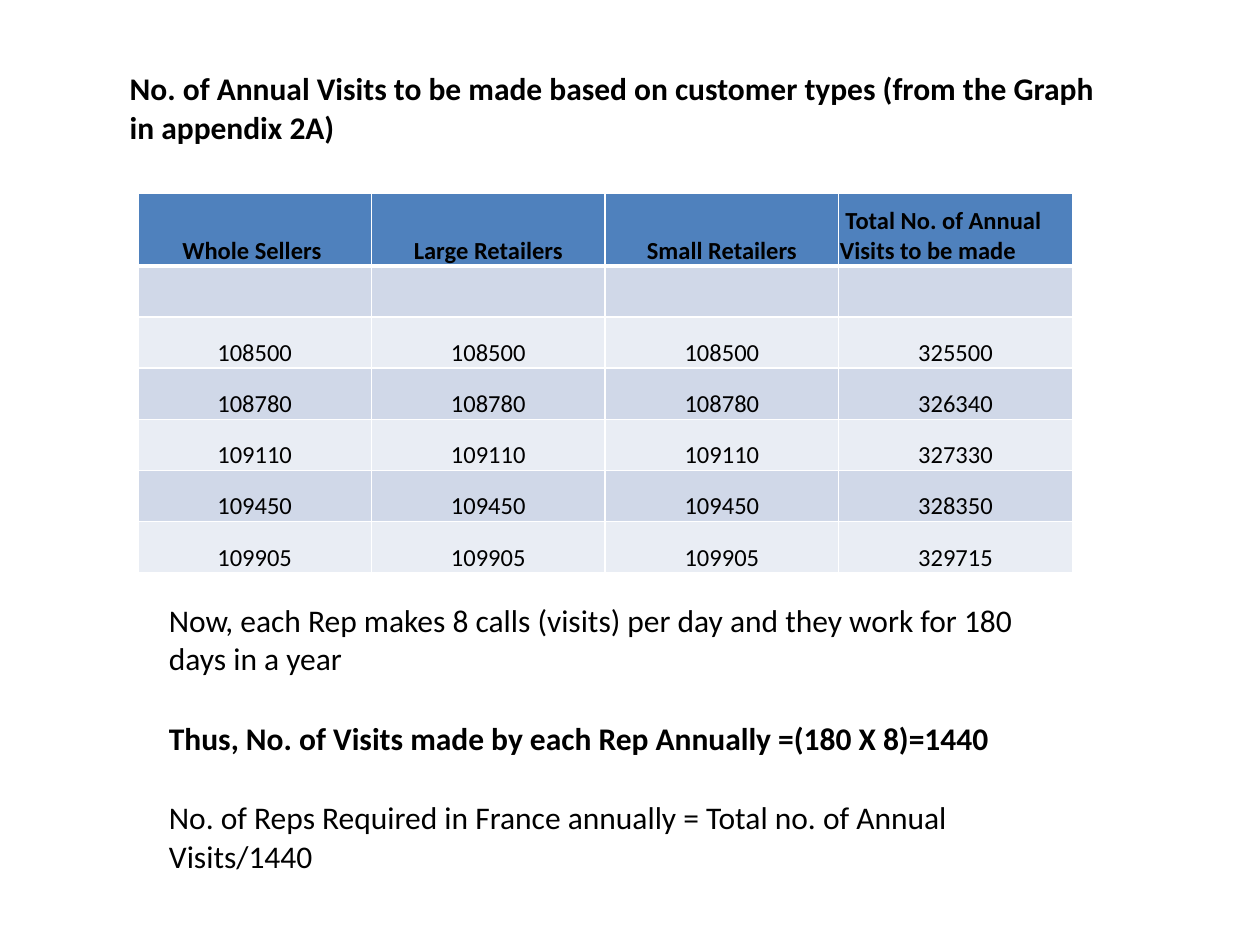
from dataclasses import dataclass

from lxml import etree
from pptx import Presentation
from pptx.dml.color import RGBColor
from pptx.enum.text import MSO_ANCHOR, PP_ALIGN
from pptx.oxml.ns import qn
from pptx.util import Pt

BOTTOM = MSO_ANCHOR.BOTTOM
LEFT, CENTER = PP_ALIGN.LEFT, PP_ALIGN.CENTER
BLACK, WHITE = "000000", "FFFFFF"
HEADER_FILL, BAND_FILLS = "4F81BD", ("D0D8E8", "E9EDF4")
SIDES = ("a:lnL", "a:lnR", "a:lnT", "a:lnB")


@dataclass
class CellStyle:
    size: float
    bold: bool = False
    align: PP_ALIGN = LEFT
    fill: str | None = None
    rule: float = 0
    bottom_rule: float = 0


@dataclass
class Row:
    texts: list[str]
    height: float
    styles: list[CellStyle]


def rgb(color: str) -> RGBColor:
    return RGBColor.from_string(color)


def add_border(cell, side: str, width: float) -> None:
    ln = etree.SubElement(cell._tc.get_or_add_tcPr(), qn(side), w=str(Pt(width)))
    if width:
        fill = etree.SubElement(ln, qn("a:solidFill"))
        etree.SubElement(fill, qn("a:srgbClr"), val=WHITE)
    else:
        etree.SubElement(ln, qn("a:noFill"))


def format_cell(cell, text: str, style: CellStyle) -> None:
    for side in SIDES:
        add_border(cell, side, style.bottom_rule or style.rule if side == "a:lnB" else style.rule)
    if style.fill:
        cell.fill.solid()
        cell.fill.fore_color.rgb = rgb(style.fill)
    else:
        cell.fill.background()
    cell.margin_left = cell.margin_right = cell.margin_top = Pt(0.72)
    cell.margin_bottom = 0
    cell.vertical_anchor = BOTTOM
    p = cell.text_frame.paragraphs[0]
    if text:
        p.add_run().text = text
    p.alignment = style.align
    p.font.name = "Calibri"
    p.font.size = Pt(style.size)
    p.font.bold = style.bold
    p.font.color.rgb = rgb(BLACK)


def add_table(s, left: float, top: float, width: float, rows: list[Row]) -> None:
    n_cols = len(rows[0].texts)
    height = sum(row.height for row in rows)
    table = s.shapes.add_table(len(rows), n_cols, Pt(left), Pt(top), Pt(width), Pt(height)).table
    table.first_row = table.horz_banding = False
    for col in table.columns:
        col.width = Pt(width / n_cols)
    for i, row in enumerate(rows):
        table.rows[i].height = Pt(row.height)
        for j, (text, style) in enumerate(zip(row.texts, row.styles)):
            format_cell(table.cell(i, j), text, style)


def visit_rows() -> list[Row]:
    headers = ["Whole Sellers ", "Large Retailers", "Small Retailers",
               " Total No. of Annual Visits to be made"]
    aligns = [CENTER] * 3 + [LEFT]
    header_styles = [CellStyle(14, True, align, HEADER_FILL, 1, 3) for align in aligns]
    rows = [Row(headers, 41.8, header_styles)]
    for i, visits in enumerate([None, 108500, 108780, 109110, 109450, 109905]):
        texts = [str(visits)] * 3 + [str(visits * 3)] if visits else [""] * 4
        style = CellStyle(14, align=CENTER, fill=BAND_FILLS[i % 2], rule=1)
        rows.append(Row(texts, 29.2, [style] * 4))
    return rows


def main() -> None:
    prs = Presentation()
    prs.slide_width, prs.slide_height = Pt(720), Pt(540)
    s = prs.slides.add_slide(prs.slide_layouts[6])
    plain, bold = CellStyle(18), CellStyle(18, True)

    title = "No. of Annual Visits to be made based on customer types (from the Graph in appendix 2A)"
    add_table(s, 73.4, 39.6, 568, [Row([title], 44, [bold])])
    add_table(s, 78.8, 110.2, 534, visit_rows())
    add_table(s, 95.8, 343.4, 495.4, [
        Row(["Now, each Rep makes 8 calls (visits) per day and they work for 180 days in a year"],
            44, [plain]),
        Row([""], 22, [plain]),
        Row(["Thus, No. of Visits made by each Rep Annually =(180 X 8)=1440"], 22, [bold]),
        Row([""], 22, [plain]),
        Row(["No. of Reps Required in France annually = Total no. of Annual Visits/1440"],
            44, [plain]),
    ])
    prs.save("out.pptx")


if __name__ == "__main__":
    main()
